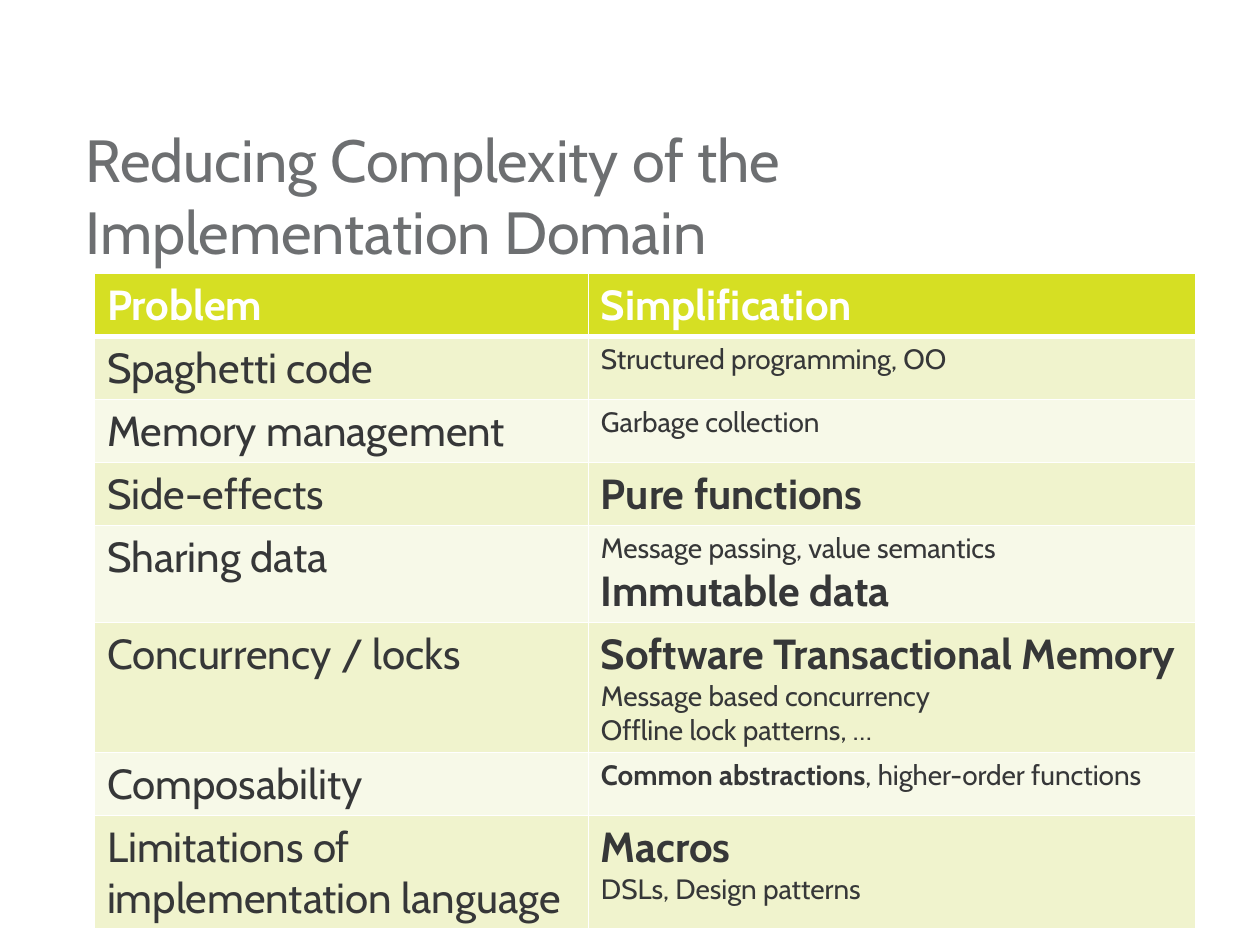
from typing import NamedTuple

from lxml.etree import SubElement
from pptx import Presentation
from pptx.dml.color import RGBColor
from pptx.enum.text import MSO_ANCHOR
from pptx.oxml import parse_xml
from pptx.oxml.ns import nsdecls
from pptx.util import Pt

FONT = "Cabin"
WHITE, TITLE_GREY, TEXT_DARK = "FFFFFF", "6D6F71", "363738"
HEADER_FILL, BAND_FILLS = "D6DF23", ("F0F3CD", "F7F9E8")
LARGE, SMALL = 24, 16
COLUMN_WIDTHS = (282.24, 347.04)


class Span(NamedTuple):
    text: str
    size: int = LARGE
    bold: bool = False


class Row(NamedTuple):
    height: float
    problem: Span
    simplification: list[list[Span]]  # paragraphs made of spans


def strong(text: str, size: int = LARGE) -> Span:
    return Span(text, size, True)


def small(text: str) -> Span:
    return Span(text, SMALL)


ROWS = [
    Row(26.64, strong("Problem"), [[strong("Simplification")]]),
    Row(26.64, Span("Spaghetti code"), [[small("Structured programming, OO")]]),
    Row(26.64, Span("Memory management"), [[small("Garbage collection")]]),
    Row(26.64, Span("Side-effects"), [[strong("Pure functions")]]),
    Row(45.36, Span("Sharing data"),
        [[small("Message passing, value semantics")], [strong("Immutable data")]]),
    Row(73.44, Span("Concurrency / locks"),
        [[strong("Software Transactional Memory")],
         [small("Message based concurrency")],
         [small("Offline lock patterns, …")]]),
    Row(33.84, Span("Composability"),
        [[strong("Common abstractions", SMALL), small(", higher-order functions")]]),
    Row(56.88, Span("Limitations of implementation language"),
        [[strong("Macros")], [small("DSLs, Design patterns")]]),
]


def colour(value: str) -> RGBColor:
    return RGBColor.from_string(value)


def write_paragraphs(text_frame, paragraphs: list[list[Span]], text_colour: str) -> None:
    text_frame.text = "\n".join("" for _ in paragraphs)
    for para, spans in zip(text_frame.paragraphs, paragraphs):
        for span in spans:
            run = para.add_run()
            run.text = span.text
            run.font.name = FONT
            run.font.size = Pt(span.size)
            run.font.bold = span.bold
            run.font.color.rgb = colour(text_colour)


def set_borders(cell, top: float, bottom: float) -> None:
    properties = cell._tc.get_or_add_tcPr()
    widths = {"lnL": 1, "lnR": 1, "lnT": top, "lnB": bottom}
    for position, (side, width) in enumerate(widths.items()):
        line = parse_xml(
            f'<a:{side} {nsdecls("a")} w="{Pt(width)}"><a:solidFill>'
            f'<a:srgbClr val="{WHITE}"/></a:solidFill></a:{side}>')
        properties.insert(position, line)


def fill_cell(cell, paragraphs: list[list[Span]], row_index: int) -> None:
    is_header = row_index == 0
    write_paragraphs(cell.text_frame, paragraphs, WHITE if is_header else TEXT_DARK)
    cell.fill.solid()
    cell.fill.fore_color.rgb = colour(
        HEADER_FILL if is_header else BAND_FILLS[(row_index - 1) % 2])
    set_borders(cell, top=3 if row_index == 1 else 1, bottom=3 if is_header else 1)


def add_title(page, text: str) -> None:
    box = page.shapes.add_textbox(Pt(41.76), Pt(84.24), Pt(618.48), Pt(54))
    box.text_frame.word_wrap = True
    box.text_frame.vertical_anchor = MSO_ANCHOR.MIDDLE
    write_paragraphs(box.text_frame, [[Span(text, 34)]], TITLE_GREY)


def add_simplification_table(page) -> None:
    table = page.shapes.add_table(
        len(ROWS), len(COLUMN_WIDTHS), Pt(54), Pt(156.24),
        Pt(sum(COLUMN_WIDTHS)), Pt(sum(row.height for row in ROWS))).table
    for column, width in zip(table.columns, COLUMN_WIDTHS):
        column.width = Pt(width)
    for index, row in enumerate(ROWS):
        table.rows[index].height = Pt(row.height)
        fill_cell(table.cell(index, 0), [[row.problem]], index)
        fill_cell(table.cell(index, 1), row.simplification, index)


def main() -> None:
    deck = Presentation()
    deck.slide_width, deck.slide_height = Pt(720), Pt(540)
    page = deck.slides.add_slide(deck.slide_layouts[6])

    # Title above the table
    add_title(page, "Reducing Complexity of the Implementation Domain")

    # Problems and their simplifications
    add_simplification_table(page)

    deck.save("out.pptx")


if __name__ == "__main__":
    main()
